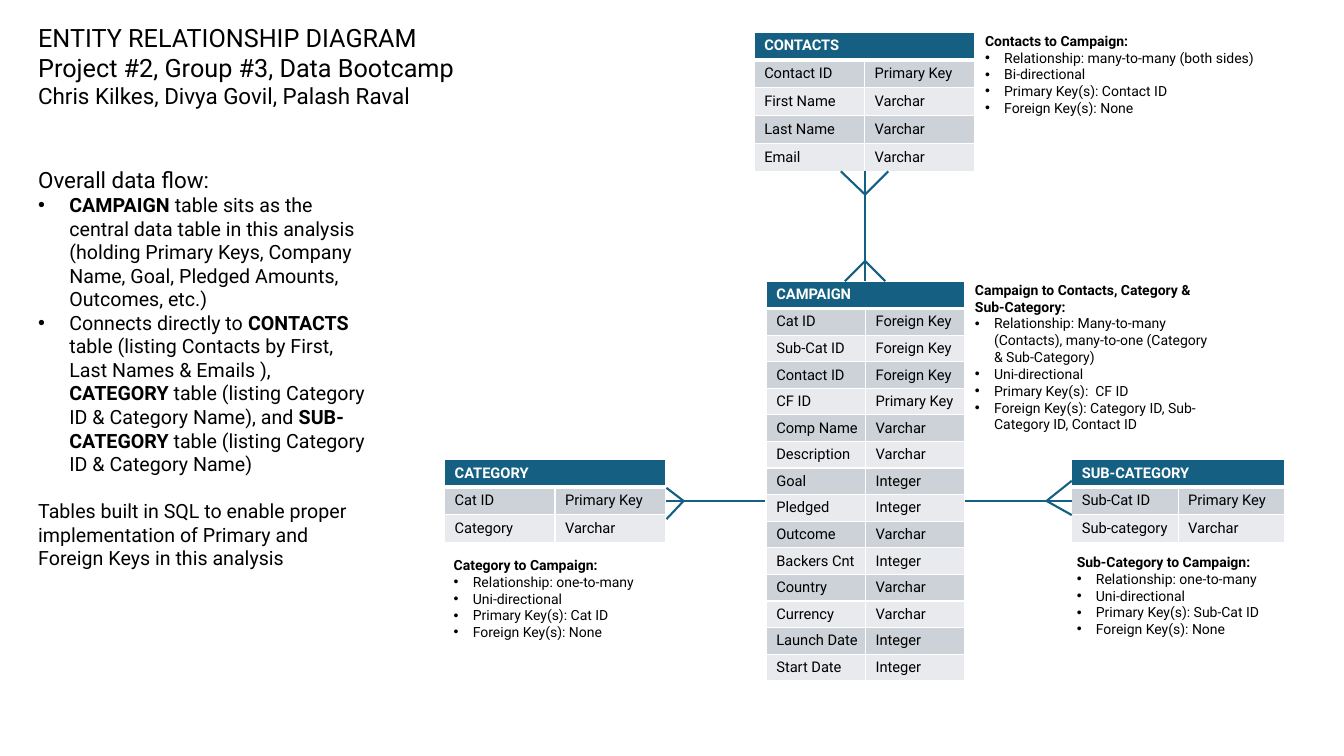
from dataclasses import dataclass
from typing import Any

from lxml import etree
from pptx import Presentation
from pptx.dml import color
from pptx.enum import shapes, text
from pptx.oxml import ns
from pptx import util as u

BLUE, WHITE, BLACK = "156082", "FFFFFF", "000000"
BANDS = ("CCD2D8", "E8EAED")
FONT = "Roboto"


@dataclass
class Entity:
    name: str
    left: float
    top: float
    width: float
    height: float
    rows: list[tuple[str, str]]
    tight: bool = False


@dataclass
class Para:
    words: str  # stretches between asterisks are bold
    size: float
    hang: float = 0
    gap: float = 0


@dataclass
class Box:
    left: float
    top: float
    width: float
    height: float
    paras: list[Para]
    inset: bool = True


@dataclass
class Foot:
    apex: tuple[float, float]
    tips: list[tuple[float, float]]


def put(item: Any, **values: Any) -> None:
    for key, value in values.items():
        setattr(item, key, value)


def tint(code: str) -> color.RGBColor:
    return color.RGBColor.from_string(code)


def write(para: Any, words: str, size: float, code: str) -> None:
    for i, part in enumerate(words.split("*")):
        if part:
            run = para.add_run()
            run.text = part
            put(run.font, name=FONT, size=u.Pt(size), bold=i % 2 == 1)
            run.font.color.rgb = tint(code)


def edge(cell: Any, base: float) -> None:
    props = cell._tc.get_or_add_tcPr()
    for i, side in enumerate("LRTB"):
        width = base if side == "B" else 1
        line = etree.Element(ns.qn(f"a:ln{side}"), w=str(u.Pt(width)))
        fill = etree.SubElement(line, ns.qn("a:solidFill"))
        etree.SubElement(fill, ns.qn("a:srgbClr"), val=WHITE)
        props.insert(i, line)


def draw_table(slide: Any, ent: Entity) -> None:
    count = len(ent.rows) + 1
    size = [u.Inches(n) for n in (ent.left, ent.top, ent.width, ent.height)]
    table = slide.shapes.add_table(count, 2, *size).table
    put(table, first_row=False, horz_banding=False)
    for row in table.rows:
        row.height = u.Inches(ent.height / count)
    table.cell(0, 0).merge(table.cell(0, 1))
    for r, row in enumerate([(f"*{ent.name}*", ""), *ent.rows]):
        for c, words in enumerate(row):
            cell = table.cell(r, c)
            cell.fill.solid()
            cell.fill.fore_color.rgb = tint(BANDS[(r - 1) % 2] if r else BLUE)
            edge(cell, 1 if r else 3)
            if r and ent.tight:
                put(cell, margin_right=0, margin_top=0, margin_bottom=0,
                    vertical_anchor=text.MSO_ANCHOR.MIDDLE)
            write(cell.text_frame.paragraphs[0], words, 10.5, BLACK if r else WHITE)


def draw_box(slide: Any, box: Box) -> None:
    size = [u.Inches(n) for n in (box.left, box.top, box.width, box.height)]
    frame = slide.shapes.add_textbox(*size).text_frame
    put(frame, word_wrap=True, auto_size=text.MSO_AUTO_SIZE.SHAPE_TO_FIT_TEXT)
    if not box.inset:
        put(frame, margin_left=0, margin_right=0, margin_top=0, margin_bottom=0)
    for i, item in enumerate(box.paras):
        para = frame.add_paragraph() if i else frame.paragraphs[0]
        if item.gap:
            para.space_before = u.Pt(item.gap)
        if item.hang:
            props = para._p.get_or_add_pPr()
            props.set("marL", str(u.Inches(item.hang)))
            props.set("indent", str(-u.Inches(item.hang)))
            etree.SubElement(props, ns.qn("a:buFont"), typeface="Arial")
            etree.SubElement(props, ns.qn("a:buChar"), char="•")
        write(para, item.words, item.size, BLACK)


def draw_line(slide: Any, start: tuple[float, float], end: tuple[float, float]) -> None:
    ends = [u.Inches(n) for n in (*start, *end)]
    line = slide.shapes.add_connector(shapes.MSO_CONNECTOR.STRAIGHT, *ends)
    line.line.width = u.Pt(1.5)
    line.line.color.rgb = tint(BLUE)
    etree.SubElement(line._element.spPr, ns.qn("a:effectLst"))


def note(left: float, top: float, width: float, height: float,
         head: str, *points: str) -> Box:
    paras = [Para(f"*{head}*", 10), *(Para(p, 10, 0.19) for p in points)]
    return Box(left, top, width, height, paras, inset=False)


# Entity tables
TABLES = [
    Entity("CAMPAIGN", 7.6, 2.79, 1.97, 3.96, [
        ("Cat ID", "Foreign Key"), ("Sub-Cat ID", "Foreign Key"),
        ("Contact ID", "Foreign Key"), ("CF ID", "Primary Key"),
        ("Comp Name", "Varchar"), ("Description", "Varchar"),
        ("Goal", "Integer"), ("Pledged", "Integer"), ("Outcome", "Varchar"),
        ("Backers Cnt", "Integer"), ("Country", "Varchar"),
        ("Currency", "Varchar"), ("Launch Date", "Integer"),
        ("Start Date", "Integer")], tight=True),
    Entity("CATEGORY", 4.41, 4.56, 2.19, 0.82,
           [("Cat ID", "Primary Key"), ("Category", "Varchar")]),
    Entity("SUB-CATEGORY", 10.63, 4.56, 2.11, 0.82,
           [("Sub-Cat ID", "Primary Key"), ("Sub-category", "Varchar")]),
    Entity("CONTACTS", 7.48, 0.32, 2.19, 1.38,
           [("Contact ID", "Primary Key"), ("First Name", "Varchar"),
            ("Last Name", "Varchar"), ("Email", "Varchar")]),
]

# Links between tables and their crow's feet
LINKS = [((9.57, 4.97), (10.63, 4.97)), ((7.59, 4.97), (6.61, 4.97)),
         ((8.58, 1.7), (8.58, 2.79))]
FEET = [
    Foot((10.38, 4.97), [(10.63, 4.77), (10.63, 5.11)]),
    Foot((6.78, 4.97), [(6.61, 4.84), (6.61, 5.15)]),
    Foot((8.58, 1.93), [(8.34, 1.7), (8.81, 1.7)]),
    Foot((8.58, 2.59), [(8.38, 2.79), (8.78, 2.79)]),
]

# Title, summary and notes
ONE, UNI, NONE = "Relationship: one-to-many", "Uni-directional", "Foreign Key(s): None"
BOXES = [
    Box(0.28, 0.17, 4.78, 0.98, [
        Para("ENTITY RELATIONSHIP DIAGRAM", 18),
        Para("Project #2, Group #3, Data Bootcamp", 18),
        Para("Chris Kilkes, Divya Govil, Palash Raval", 16)]),
    Box(0.28, 1.6, 3.51, 4.14, [
        Para("Overall data flow:", 16),
        Para("*CAMPAIGN* table sits as the central data table in this analysis "
             "(holding Primary Keys, Company Name, Goal, Pledged Amounts, "
             "Outcomes, etc.)", 14, 0.31),
        Para("Connects directly to *CONTACTS* table (listing Contacts by First, "
             "Last Names & Emails ), *CATEGORY *table (listing Category ID & "
             "Category Name), and *SUB-CATEGORY* table (listing Category ID & "
             "Category Name)", 14, 0.31),
        Para("Tables built in SQL to enable proper implementation of Primary "
             "and Foreign Keys in this analysis", 14, gap=16.8)]),
    note(9.77, 0.32, 2.83, 0.84, "Contacts to Campaign:",
         "Relationship: many-to-many (both sides)", "Bi-directional",
         "Primary Key(s): Contact ID", NONE),
    note(4.5, 5.52, 2.69, 0.84, "Category to Campaign:",
         ONE, UNI, "Primary Key(s): Cat ID", NONE),
    note(10.68, 5.49, 2.37, 0.84, "Sub-Category to Campaign:",
         ONE, UNI, "Primary Key(s): Sub-Cat ID", NONE),
    note(9.67, 2.79, 2.37, 1.51, "Campaign to Contacts, Category & Sub-Category:",
         "Relationship: Many-to-many (Contacts), many-to-one (Category & Sub-Category)",
         UNI, "Primary Key(s):  CF ID",
         "Foreign Key(s): Category ID, Sub-Category ID, Contact ID"),
]


def main() -> None:
    deck = Presentation()
    put(deck, slide_width=u.Inches(13.33), slide_height=u.Inches(7.5))
    slide = deck.slides.add_slide(deck.slide_layouts[6])
    for ent in TABLES:
        draw_table(slide, ent)
    for start, end in LINKS:
        draw_line(slide, start, end)
    for foot in FEET:
        for tip in foot.tips:
            draw_line(slide, foot.apex, tip)
    for box in BOXES:
        draw_box(slide, box)
    deck.save("out.pptx")


if __name__ == "__main__":
    main()
